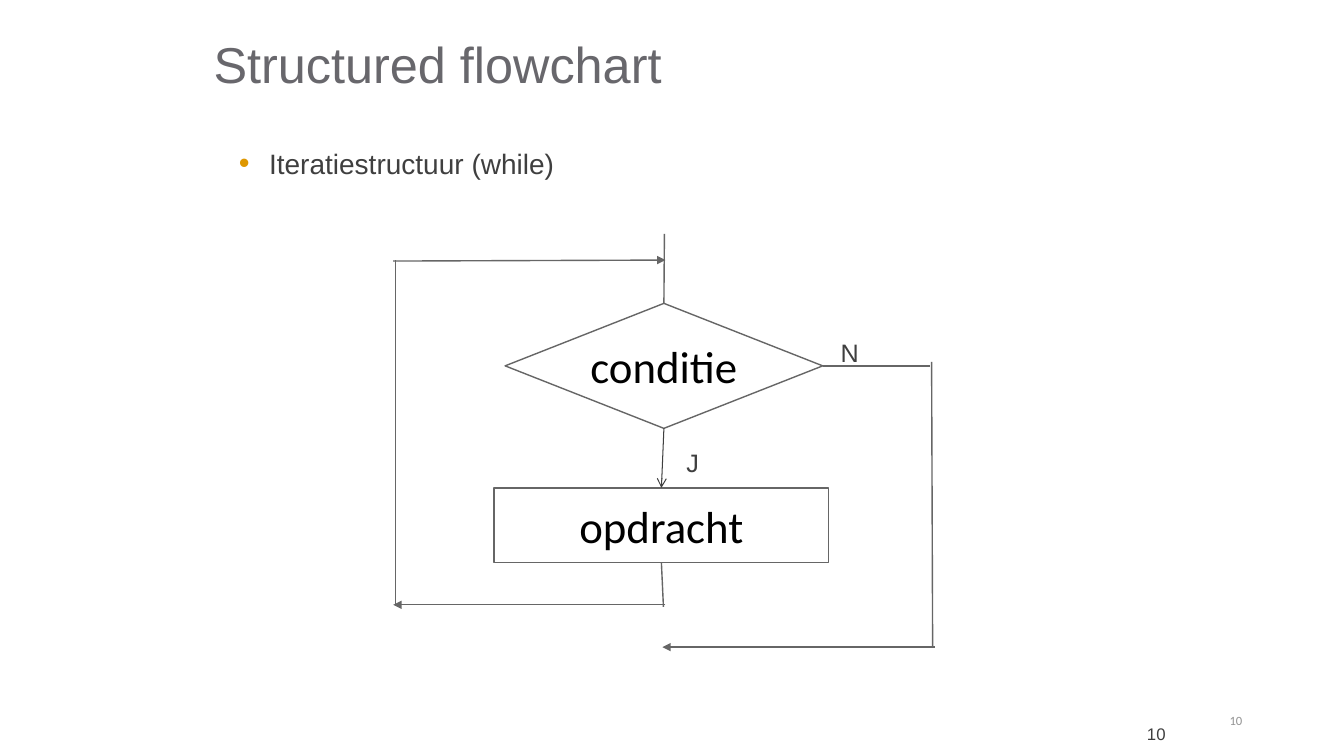
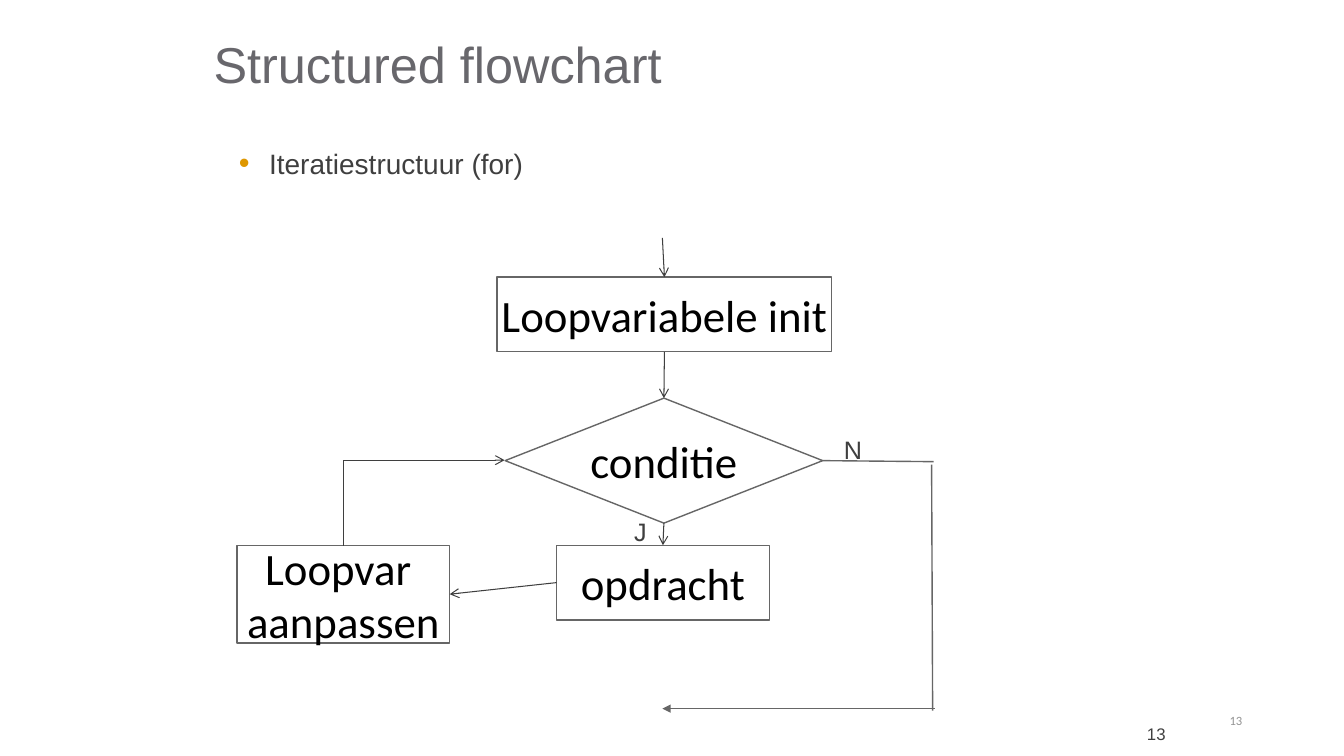
from lxml import etree
from pptx import Presentation
from pptx.dml.color import RGBColor
from pptx.enum.shapes import MSO_CONNECTOR, MSO_SHAPE
from pptx.enum.text import MSO_ANCHOR, PP_ALIGN
from pptx.oxml.ns import qn
from pptx.util import Inches, Pt

STRAIGHT, ELBOW = MSO_CONNECTOR.STRAIGHT, MSO_CONNECTOR.ELBOW
RECTANGLE, DIAMOND = MSO_SHAPE.RECTANGLE, MSO_SHAPE.DIAMOND
TOP, MIDDLE = MSO_ANCHOR.TOP, MSO_ANCHOR.MIDDLE
LEFT, CENTER, RIGHT = PP_ALIGN.LEFT, PP_ALIGN.CENTER, PP_ALIGN.RIGHT
TOP_SITE, LEFT_SITE, BOTTOM_SITE, RIGHT_SITE = range(4)

TITLE, TEXT, PALE = "68676C", "3F3F3F", "939393"
OUTLINE, BULLET, BLACK = "666666", "DE9700", "000000"
color = RGBColor.from_string


def add_text(slide, text, at, preset=None, size=18, font="Arial", fill=TEXT,
             align=LEFT, anchor=TOP, bullet=False):
    """Add a text box, or an outlined flowchart symbol if a preset is given."""
    box = [Inches(value) for value in at]
    if preset is None:
        shape = slide.shapes.add_textbox(*box)
    else:
        shape = slide.shapes.add_shape(preset, *box)
        shape.shadow.inherit = False
        shape.fill.background()
        shape.line.color.rgb = color(OUTLINE)
        shape.line.width = Pt(1)
    frame = shape.text_frame
    frame.word_wrap = preset is None
    frame.vertical_anchor = anchor
    frame.text = text
    for paragraph in frame.paragraphs:
        paragraph.alignment = align
        if bullet:
            properties = paragraph._p.get_or_add_pPr()
            properties.set("marL", str(Inches(0.3)))
            properties.set("indent", str(Inches(-0.3)))
            bullet_color = etree.SubElement(properties, qn("a:buClr"))
            etree.SubElement(bullet_color, qn("a:srgbClr"), val=BULLET)
            etree.SubElement(properties, qn("a:buSzPct"), val="110000")
            etree.SubElement(properties, qn("a:buFont"), typeface="Arial")
            etree.SubElement(properties, qn("a:buChar"), char="•")
        paragraph.font.size = Pt(size)
        paragraph.font.name = font
        paragraph.font.color.rgb = color(fill)
    return shape


def add_line(slide, begin, end, arrow=None, kind=STRAIGHT):
    """Draw a line; each end is an (x, y) point or a (shape, site) pair."""
    line = slide.shapes.add_connector(kind, 0, 0, 0, 0)
    if hasattr(begin[0], "shape_id"):
        line.begin_connect(*begin)
    else:
        line.begin_x, line.begin_y = Inches(begin[0]), Inches(begin[1])
    if hasattr(end[0], "shape_id"):
        line.end_connect(*end)
    else:
        line.end_x, line.end_y = Inches(end[0]), Inches(end[1])
    open_arrow = arrow == "arrow"
    line.line.color.rgb = color(TEXT if open_arrow else OUTLINE)
    line.line.width = Pt(0.75 if open_arrow else 1)
    if arrow:
        etree.SubElement(line.line._get_or_add_ln(), qn("a:tailEnd"), type=arrow)
    etree.SubElement(line._element.spPr, qn("a:effectLst"))
    return line


presentation = Presentation()
presentation.slide_width = Inches(13.33)
presentation.slide_height = Inches(7.5)
symbol = dict(size=32, font="Calibri", fill=BLACK, align=CENTER, anchor=MIDDLE)

# Shared title, bullet and slide numbers
slides = []
for number, loop_type in (("10", "while"), ("13", "for")):
    slide = presentation.slides.add_slide(presentation.slide_layouts[6])
    add_text(slide, "Structured flowchart", (2.02, 0, 9.53, 1.25),
             size=36, fill=TITLE, anchor=MIDDLE)
    add_text(slide, f"Iteratiestructuur ({loop_type})", (2.27, 1.4, 8.98, 5.36),
             size=20, bullet=True)
    add_text(slide, number, (9.33, 7.08, 2.33, 0.4),
             size=12, align=RIGHT, anchor=MIDDLE)
    add_text(slide, number, (11.23, 6.95, 1.19, 0.4), size=9, font="Calibri",
             fill=PALE, align=RIGHT, anchor=MIDDLE)
    slides.append(slide)
while_slide, for_slide = slides

# While loop
task = add_text(while_slide, "opdracht", (4.9, 4.84, 3.32, 0.74), RECTANGLE, **symbol)
condition = add_text(while_slide, "conditie", (5.01, 3.01, 3.15, 1.24), DIAMOND, **symbol)
add_text(while_slide, "N", (8.24, 3.3, 0.37, 0.4))
add_text(while_slide, "J", (6.71, 4.39, 0.37, 0.4))
for begin, end, arrow in (
    ((6.59, 2.32), (condition, TOP_SITE), None),
    ((condition, BOTTOM_SITE), (task, TOP_SITE), "arrow"),
    ((task, BOTTOM_SITE), (6.58, 6.02), None),
    ((6.6, 6), (3.9, 6), "triangle"),
    ((3.92, 6), (3.92, 2.58), None),
    ((3.9, 2.59), (6.6, 2.58), "triangle"),
    ((condition, RIGHT_SITE), (9.22, 3.63), None),
    ((9.24, 3.59), (9.25, 6.42), None),
    ((9.27, 6.42), (6.57, 6.42), "triangle"),
):
    add_line(while_slide, begin, end, arrow)

# For loop
start = add_text(for_slide, "Loopvariabele init", (4.93, 2.75, 3.32, 0.74),
                 RECTANGLE, **symbol)
condition = add_text(for_slide, "conditie", (5.01, 3.95, 3.15, 1.24), DIAMOND, **symbol)
task = add_text(for_slide, "opdracht", (5.52, 5.41, 2.11, 0.74), RECTANGLE, **symbol)
update = add_text(for_slide, "Loopvar \naanpassen", (2.35, 5.41, 2.11, 0.97),
                  RECTANGLE, **symbol)
add_text(for_slide, "J", (6.19, 5.07, 0.36, 0.4))
add_text(for_slide, "N", (8.27, 4.26, 0.62, 0.4))
for begin, end, arrow in (
    ((6.57, 2.36), (start, TOP_SITE), "arrow"),
    ((start, BOTTOM_SITE), (condition, TOP_SITE), "arrow"),
    ((condition, BOTTOM_SITE), (task, TOP_SITE), "arrow"),
    ((task, LEFT_SITE), (update, RIGHT_SITE), "arrow"),
    ((condition, RIGHT_SITE), (9.26, 4.58), None),
    ((9.24, 4.61), (9.25, 7.05), None),
    ((9.27, 7.03), (6.57, 7.03), "triangle"),
):
    add_line(for_slide, begin, end, arrow)

# A quarter turn makes the one-bend connector run up and then right
loop_back = add_line(for_slide, (3.78, 4.19), (4.63, 5.79), "arrow", ELBOW)
loop_back._element.spPr.find(qn("a:prstGeom")).set("prst", "bentConnector2")
loop_back._element.spPr.find(qn("a:xfrm")).set("rot", str(270 * 60000))

presentation.save("out.pptx")
